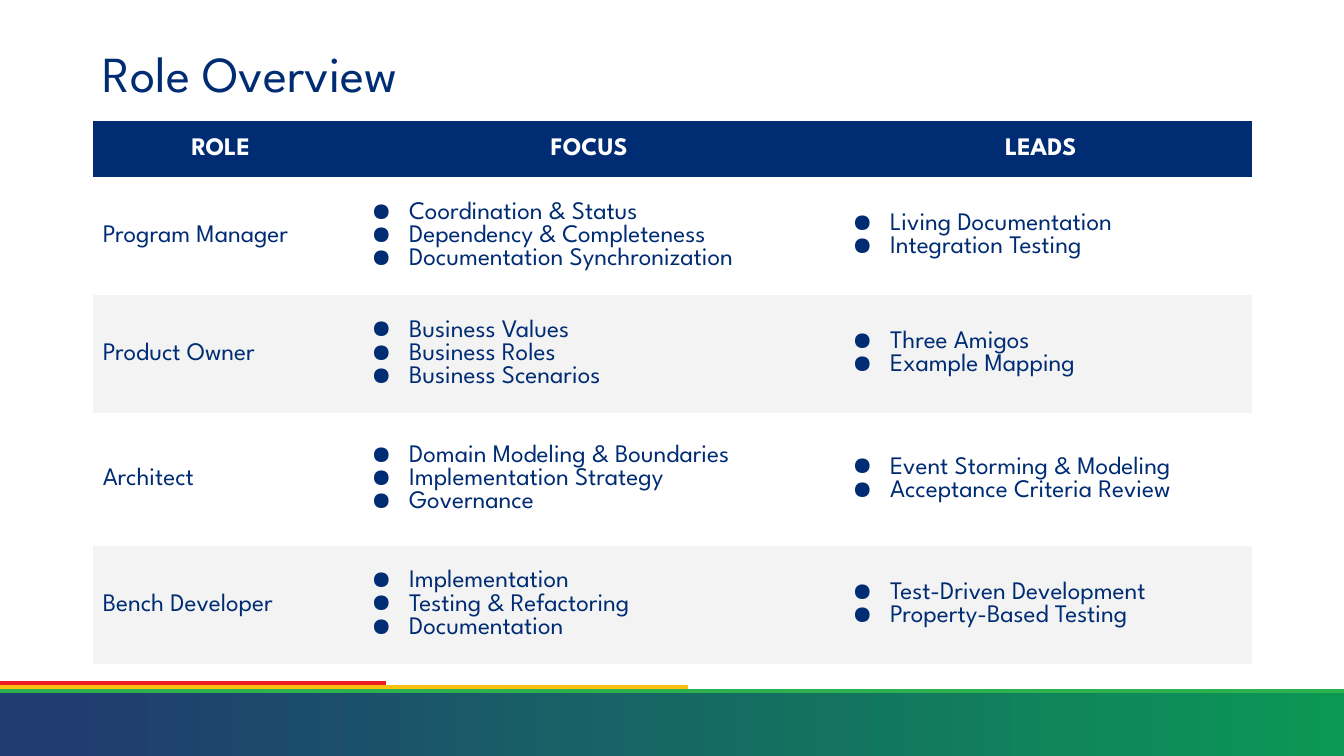
from lxml import etree
from pptx import Presentation
from pptx.dml.color import RGBColor
from pptx.enum.shapes import MSO_CONNECTOR, MSO_SHAPE
from pptx.enum.text import MSO_ANCHOR, PP_ALIGN
from pptx.oxml.ns import qn
from pptx.util import Cm, Pt

RECTANGLE = MSO_SHAPE.RECTANGLE
STRAIGHT = MSO_CONNECTOR.STRAIGHT
MIDDLE = MSO_ANCHOR.MIDDLE
LEFT, CENTER = PP_ALIGN.LEFT, PP_ALIGN.CENTER

FONT = "League Spartan"
NAVY, WHITE, GREY = "002C74", "FFFFFF", "F3F3F3"
PLAIN_TABLE_STYLE = "{2D5ABB26-0587-4C30-8999-92F81FD0307C}"

MARGIN, CONTENT_WIDTH = 2.34, 29.21
BLEED = -0.43
STRIPES = [("EC1E23", 9.73), ("FCC010", 17.35), ("2DB14E", 35.13)]
COLUMN_WIDTHS = [6.45, 12.12, 10.64]
ROW_HEIGHTS = [1.42, 2.97, 2.97, 3.35, 2.97]

HEADINGS = ["ROLE", "FOCUS", "LEADS"]
ROLES = [
    ("Program Manager",
     ["Coordination & Status", "Dependency & Completeness", "Documentation Synchronization"],
     ["Living Documentation", "Integration Testing"]),
    ("Product Owner",
     ["Business Values", "Business Roles", "Business Scenarios"],
     ["Three Amigos", "Example Mapping"]),
    ("Architect",
     ["Domain Modeling & Boundaries", "Implementation Strategy", "Governance"],
     ["Event Storming & Modeling", "Acceptance Criteria Review"]),
    ("Bench Developer",
     ["Implementation", "Testing & Refactoring", "Documentation"],
     ["Test-Driven Development", "Property-Based Testing"]),
]


def rgb(value):
    return RGBColor.from_string(value)


def format_text(paragraph, size, color, bold=False):
    for run in paragraph.runs:
        run.font.name = FONT
        run.font.size = Pt(size)
        run.font.bold = bold
        run.font.color.rgb = rgb(color)


def add_bullet(paragraph):
    properties = paragraph._p.get_or_add_pPr()
    properties.set("marL", str(Cm(1.27)))
    properties.set("indent", str(Cm(-0.95)))
    bullet_color = etree.SubElement(properties, qn("a:buClr"))
    etree.SubElement(bullet_color, qn("a:srgbClr"), val=NAVY)
    etree.SubElement(properties, qn("a:buChar"), char="●")


def add_footer(slide):
    # Gradient band
    band = slide.shapes.add_shape(RECTANGLE, Cm(BLEED), Cm(17.4), Cm(34.34), Cm(1.78))
    band.shadow.inherit = False
    band.line.fill.background()
    band.fill.gradient()
    band.fill.gradient_angle = 0
    start, end = band.fill.gradient_stops
    start.color.rgb, start.position = rgb("203C70"), 0.06
    end.color.rgb, end.position = rgb("0B9855"), 1

    # Stepped stripes above the band
    for index, (color, right) in enumerate(STRIPES):
        y = Cm(17.22 + 0.1 * index)
        stripe = slide.shapes.add_connector(STRAIGHT, Cm(BLEED), y, Cm(right), y)
        stripe.line.color.rgb = rgb(color)
        stripe.line.width = Pt(3)
        etree.SubElement(stripe._element.spPr, qn("a:effectLst"))


def add_title(slide, text):
    title = slide.shapes.add_textbox(Cm(MARGIN), Cm(1.02), Cm(CONTENT_WIDTH), Cm(1.78))
    frame = title.text_frame
    frame.word_wrap = True
    frame.vertical_anchor = MIDDLE
    frame.text = text
    frame.paragraphs[0].line_spacing = 0.9
    format_text(frame.paragraphs[0], 36, NAVY)


def fill_cell(cell, lines, fill=None, color=NAVY, bold=False, align=LEFT, bulleted=False):
    cell.vertical_anchor = MIDDLE
    cell.margin_left = cell.margin_right = Cm(0.25)
    cell.margin_top = cell.margin_bottom = Cm(0.25)
    if fill:
        cell.fill.solid()
        cell.fill.fore_color.rgb = rgb(fill)
    else:
        cell.fill.background()
    cell.text_frame.text = "\n".join(lines)
    for paragraph in cell.text_frame.paragraphs:
        paragraph.alignment = align
        if bulleted:
            add_bullet(paragraph)
        format_text(paragraph, 18, color, bold)


def add_role_table(slide):
    frame = slide.shapes.add_table(
        len(ROW_HEIGHTS), len(COLUMN_WIDTHS),
        Cm(MARGIN), Cm(3.05), Cm(CONTENT_WIDTH), Cm(sum(ROW_HEIGHTS)))
    table = frame.table
    table.horz_banding = False
    table._tbl.tblPr.find(qn("a:tableStyleId")).text = PLAIN_TABLE_STYLE
    for column, width in zip(table.columns, COLUMN_WIDTHS):
        column.width = Cm(width)
    for row, height in zip(table.rows, ROW_HEIGHTS):
        row.height = Cm(height)

    # Header row
    for index, heading in enumerate(HEADINGS):
        fill_cell(table.cell(0, index), [heading], NAVY, WHITE, bold=True, align=CENTER)

    # One row per role, every second one shaded
    for row, (role, focus, leads) in enumerate(ROLES, start=1):
        shade = GREY if row % 2 == 0 else None
        fill_cell(table.cell(row, 0), [role], shade)
        fill_cell(table.cell(row, 1), focus, shade, bulleted=True)
        fill_cell(table.cell(row, 2), leads, shade, bulleted=True)


def main():
    deck = Presentation()
    deck.slide_width, deck.slide_height = Cm(33.87), Cm(19.05)
    slide = deck.slides.add_slide(deck.slide_layouts[6])
    add_footer(slide)
    add_title(slide, "Role Overview")
    add_role_table(slide)
    deck.save("out.pptx")


if __name__ == "__main__":
    main()
